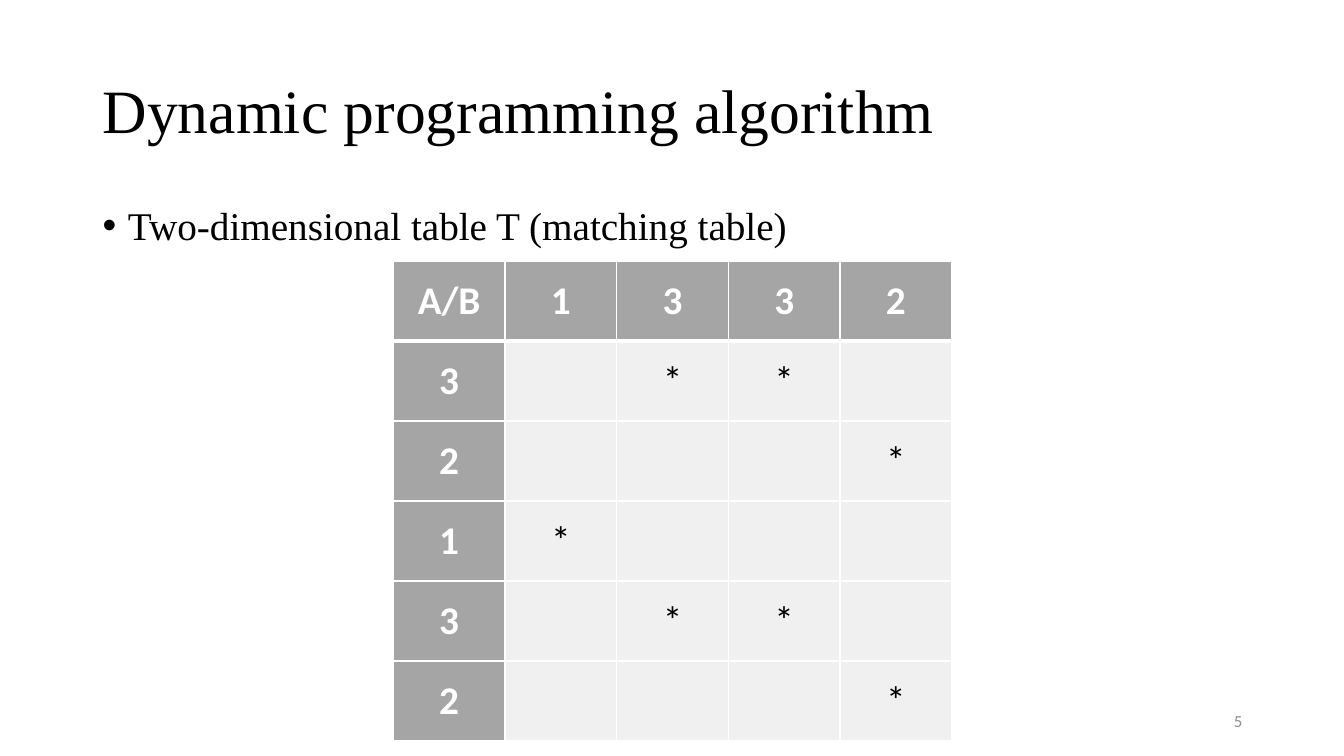
from lxml.etree import SubElement
from pptx import Presentation
from pptx.dml.color import RGBColor
from pptx.enum.text import MSO_ANCHOR as Anchor, PP_ALIGN as Align
from pptx.oxml.ns import qn
from pptx.util import Inches, Pt

COLORS = {"ink": "000000", "paper": "FFFFFF", "header": "A5A5A5",
          "cell": "F0F0F0", "muted": "8C8C8C"}
SERIF, SANS = "Times New Roman", "Calibri"
SEQUENCE_A = "32132"
SEQUENCE_B = "1332"


def color(name):
    return RGBColor.from_string(COLORS[name])


def style(target, values):
    for name, value in values.items():
        setattr(target, name, value)


def write(frame, text, ink, font, layout):
    para = frame.paragraphs[0]
    style(para, layout)
    span = para.add_run()
    span.text = text
    style(span.font, font)
    span.font.color.rgb = color(ink)
    return para


def add_text(page, box, text, ink, font, anchor=Anchor.TOP, **layout):
    frame = page.shapes.add_textbox(*map(Inches, box)).text_frame
    style(frame, {"word_wrap": True, "vertical_anchor": anchor})
    return write(frame, text, ink, font, layout)


def add_title(page, box):
    add_text(page, box, "Dynamic programming algorithm", "ink",
             {"name": SERIF, "size": Pt(44)}, Anchor.MIDDLE, line_spacing=0.9)


def add_body(page, box):
    para = add_text(page, box, "Two-dimensional table T (matching table)", "ink",
                    {"name": SERIF, "size": Pt(28)}, line_spacing=0.9)
    properties = para._p.get_or_add_pPr()
    properties.set("marL", str(Inches(0.25)))
    properties.set("indent", str(-Inches(0.25)))
    SubElement(properties, qn("a:buFont"), typeface="Arial")
    SubElement(properties, qn("a:buChar"), char="•")


def add_page_number(page, box):
    add_text(page, box, "5", "muted", {"name": SANS, "size": Pt(12)},
             Anchor.MIDDLE, alignment=Align.RIGHT)


def add_borders(cell, widths):
    properties = cell._tc.get_or_add_tcPr()
    for side, width in widths.items():
        line = SubElement(properties, qn(f"a:ln{side}"), w=str(Pt(width)))
        fill = SubElement(line, qn("a:solidFill"))
        SubElement(fill, qn("a:srgbClr"), val=COLORS["paper"])


def add_matching_table(page, box):
    header = ["A/B", *SEQUENCE_B]
    rows = [header] + [[a, *("*" if a == b else "" for b in SEQUENCE_B)]
                       for a in SEQUENCE_A]
    left, top, width, height = box
    table = page.shapes.add_table(len(rows), len(header), *map(Inches, box)).table
    for column in table.columns:
        column.width = Inches(width / len(header))
    for row in table.rows:
        row.height = Inches(height / len(rows))
    for i, row in enumerate(rows):
        for j, text in enumerate(row):
            cell = table.cell(i, j)
            heading = i == 0 or j == 0
            add_borders(cell, {"L": 1, "R": 1, "T": 3 if i == 1 else 1,
                               "B": 3 if i == 0 else 1})
            cell.fill.solid()
            cell.fill.fore_color.rgb = color("header" if heading else "cell")
            cell.vertical_anchor = Anchor.MIDDLE
            if text:
                write(cell.text_frame, text, "paper" if heading else "ink",
                      {"name": SANS, "size": Pt(28), "bold": heading},
                      {"alignment": Align.CENTER})


def main():
    deck = Presentation()
    style(deck, {"slide_width": Inches(13.33), "slide_height": Inches(7.5)})
    page = deck.slides.add_slide(deck.slide_layouts[6])
    add_title(page, (0.92, 0.4, 11.5, 1.45))
    add_body(page, (0.92, 2, 11.5, 4.76))
    add_page_number(page, (9.42, 6.95, 3, 0.4))
    add_matching_table(page, (3.9, 2.59, 5.54, 4.76))
    deck.save("out.pptx")


if __name__ == "__main__":
    main()
